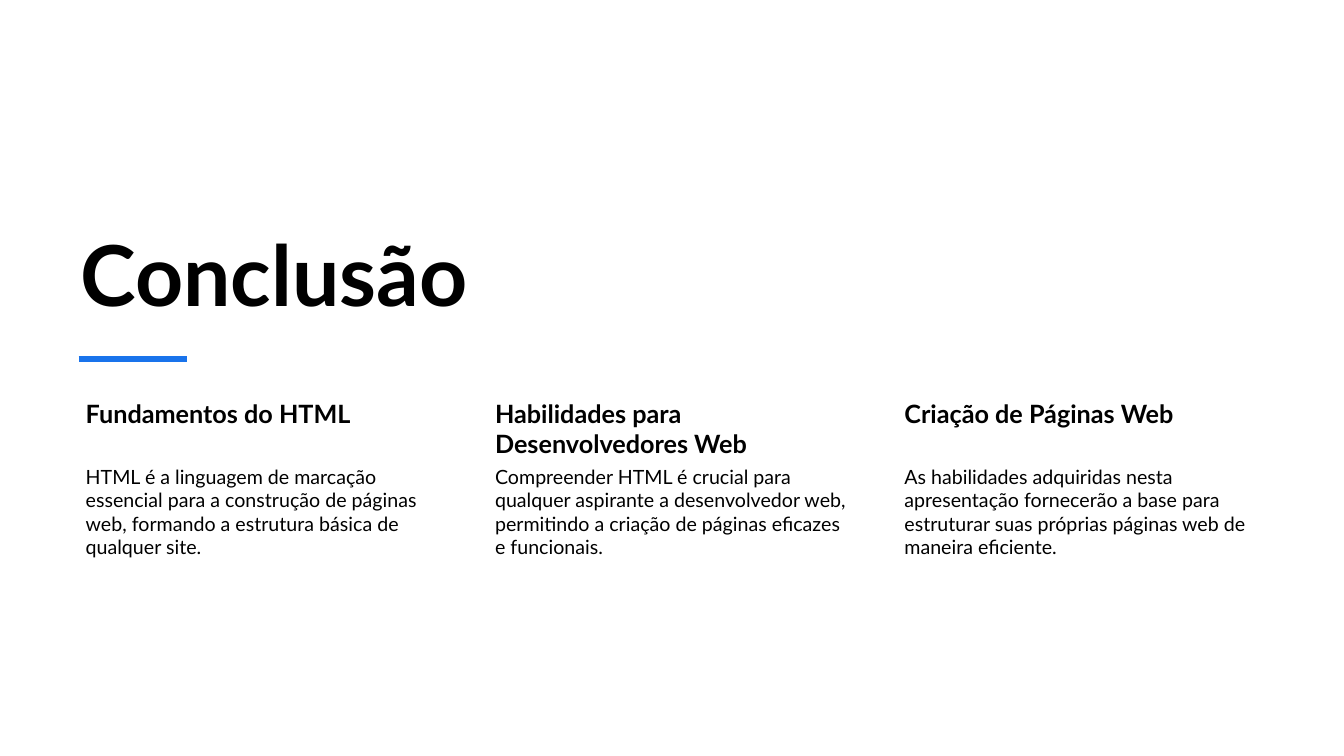
from lxml.etree import SubElement
from pptx import Presentation
from pptx.dml.color import RGBColor
from pptx.enum.shapes import MSO_CONNECTOR as Connector
from pptx.enum.shapes import MSO_SHAPE as Shape
from pptx.enum.text import MSO_ANCHOR as Anchor
from pptx.oxml.ns import qn
from pptx.util import Inches, Pt

COLORS = {"background": "FFFFFF", "text": "000000", "accent": "1973EB"}
FONT = "Lato"
COLUMN_LEFT, COLUMN_STEP, COLUMN_WIDTH = 0.7, 4.06, 3.69
HEADING_TOP, HEADING_HEIGHT, BODY_HEIGHT = 3.93, 0.66, 2.07
COLUMNS = [
    ("Fundamentos do HTML",
     "HTML é a linguagem de marcação essencial para a construção de páginas web, "
     "formando a estrutura básica de qualquer site."),
    ("Habilidades para Desenvolvedores Web",
     "Compreender HTML é crucial para qualquer aspirante a desenvolvedor web, "
     "permitindo a criação de páginas eficazes e funcionais."),
    ("Criação de Páginas Web",
     "As habilidades adquiridas nesta apresentação fornecerão a base para "
     "estruturar suas próprias páginas web de maneira eficiente."),
]


def color(name):
    return RGBColor.from_string(COLORS[name])


def add_backdrop(page, width, height):
    backdrop = page.shapes.add_shape(Shape.RECTANGLE, 0, 0, width, height)
    backdrop.shadow.inherit = False
    backdrop.fill.solid()
    backdrop.fill.fore_color.rgb = color("background")
    backdrop.line.fill.background()


def add_text(page, text, left, top, width, height, *, size, bold=False,
             anchor=Anchor.TOP, insets=(0.1, 0.05, 0.1, 0.05)):
    box = page.shapes.add_textbox(Inches(left), Inches(top), Inches(width), Inches(height))
    frame = box.text_frame
    frame.word_wrap = True
    frame.vertical_anchor = anchor
    (frame.margin_left, frame.margin_top,
     frame.margin_right, frame.margin_bottom) = map(Inches, insets)
    span = frame.paragraphs[0].add_run()
    span.text = text
    span.font.name = FONT
    span.font.size = Pt(size)
    span.font.bold = bold
    span.font.color.rgb = color("text")


def add_rule(page, left, right, top):
    rule = page.shapes.add_connector(
        Connector.STRAIGHT, Inches(left), Inches(top), Inches(right), Inches(top))
    rule.line.color.rgb = color("accent")
    rule.line.width = Pt(4.5)
    SubElement(rule._element.spPr, qn("a:effectLst"))


def add_column(page, left, heading, body):
    add_text(page, heading, left, HEADING_TOP, COLUMN_WIDTH, HEADING_HEIGHT,
             size=18, bold=True, insets=(0.15, 0.02, 0.03, 0.03))
    add_text(page, body, left, HEADING_TOP + HEADING_HEIGHT, COLUMN_WIDTH, BODY_HEIGHT,
             size=14, insets=(0.15, 0.02, 0.02, 0.02))


def main():
    deck = Presentation()
    deck.slide_width, deck.slide_height = Inches(13.33), Inches(7.5)
    page = deck.slides.add_slide(deck.slide_layouts[6])
    add_backdrop(page, deck.slide_width, deck.slide_height)
    add_text(page, "Conclusão", COLUMN_LEFT, 1.72, 8.93, 1.54,
             size=60, bold=True, anchor=Anchor.BOTTOM)
    for index, (heading, body) in enumerate(COLUMNS):
        add_column(page, COLUMN_LEFT + index * COLUMN_STEP, heading, body)
    add_rule(page, 0.78, 1.85, 3.56)
    deck.save("out.pptx")


if __name__ == "__main__":
    main()
